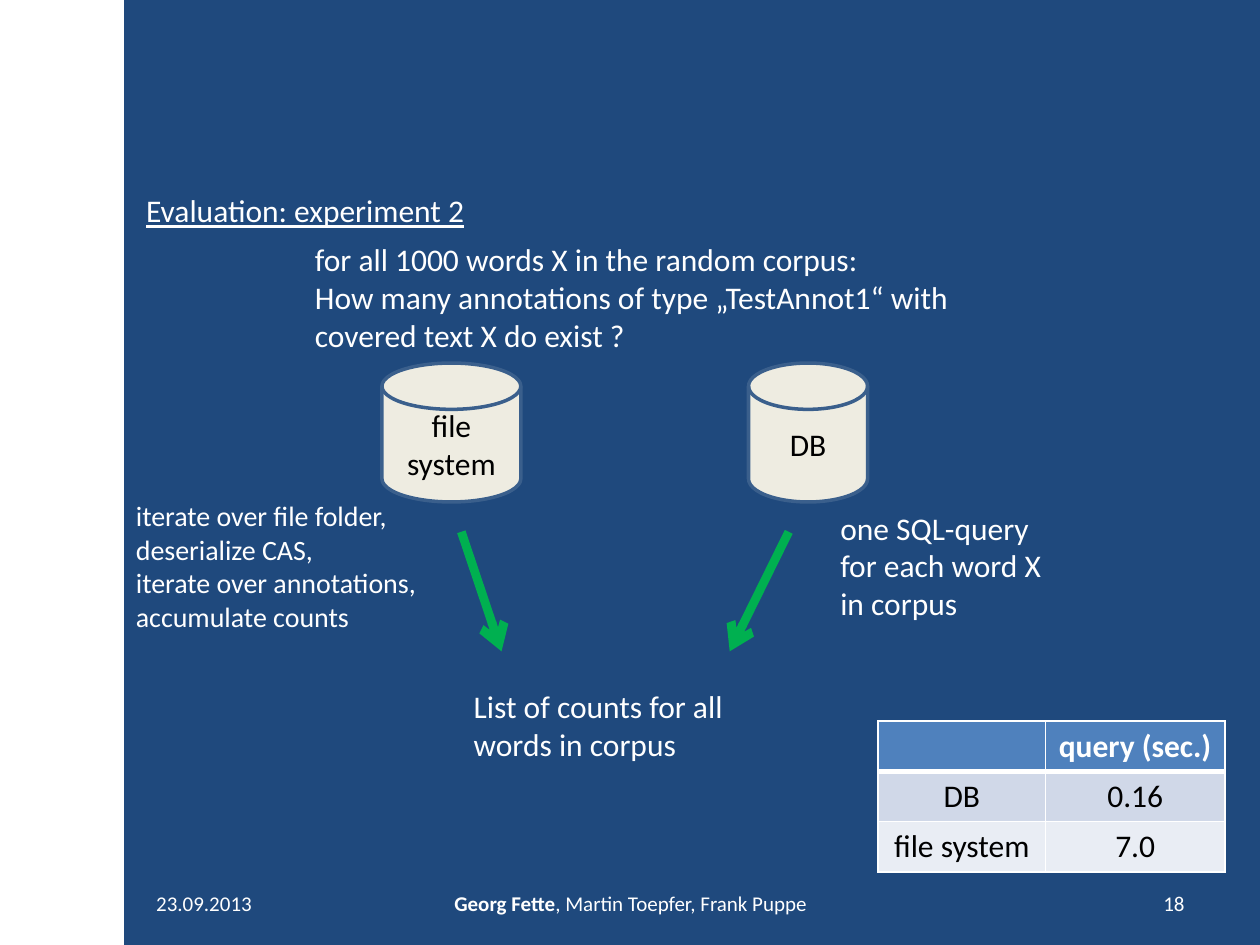
from lxml.etree import SubElement
from pptx import Presentation
from pptx.dml.color import RGBColor
from pptx.enum.shapes import MSO_CONNECTOR, MSO_SHAPE
from pptx.enum.text import MSO_ANCHOR, MSO_AUTO_SIZE, PP_ALIGN
from pptx.oxml import parse_xml
from pptx.oxml.ns import nsdecls, qn
from pptx.util import Cm, Pt

WHITE = "FFFFFF"
BLACK = "000000"
NAVY = "1F497D"
GREEN = "00B050"
CREAM = "EEECE1"
DISK_EDGE = "3A5F8C"
HEADER_BLUE = "4F81BD"
ROW_FILLS = [HEADER_BLUE, "D0D8E8", "E9EDF4"]


def rgb(colour):
    return RGBColor.from_string(colour)


def paint(shape, fill, edge, edge_width):
    shape.shadow.inherit = False
    shape.fill.solid()
    shape.fill.fore_color.rgb = rgb(fill)
    shape.line.color.rgb = rgb(edge)
    shape.line.width = Pt(edge_width)


def format_text(frame, size=18, colour=WHITE, align=PP_ALIGN.LEFT):
    for paragraph in frame.paragraphs:
        paragraph.alignment = align
        for run in paragraph.runs:
            run.font.name = "Calibri"
            run.font.size = Pt(size)
            run.font.color.rgb = rgb(colour)


def add_text(slide, left, top, width, height, text, size=18,
             align=PP_ALIGN.LEFT, anchor=MSO_ANCHOR.TOP):
    box = slide.shapes.add_textbox(Cm(left), Cm(top), Cm(width), Cm(height))
    frame = box.text_frame
    frame.word_wrap = True
    frame.vertical_anchor = anchor
    frame.text = text
    format_text(frame, size, align=align)
    return frame


def add_heading(slide, text):
    heading = slide.shapes.title
    heading.left, heading.top = Cm(2.69), Cm(3.73)
    heading.width, heading.height = Cm(7.01), Cm(1.02)
    frame = heading.text_frame
    frame.text = text
    frame.word_wrap = False
    frame.auto_size = MSO_AUTO_SIZE.NONE
    frame.vertical_anchor = MSO_ANCHOR.TOP
    format_text(frame)
    frame.paragraphs[0].runs[0].font.underline = True


def add_side_band(slide):
    band = slide.shapes.add_shape(MSO_SHAPE.RECTANGLE, 0, 0, Cm(2.49), Cm(19.05))
    paint(band, WHITE, WHITE, 0.75)


def add_footer(slide):
    top, height, middle = 17.7, 1.02, MSO_ANCHOR.MIDDLE
    add_text(slide, 2.9, top, 5, height, "23.09.2013", 12, anchor=middle)
    authors = add_text(slide, 8.69, top, 8.05, height, "Georg Fette", 12, anchor=middle)
    authors.paragraphs[0].add_run().text = ", Martin Toepfer, Frank Puppe"
    format_text(authors, 12, align=PP_ALIGN.CENTER)
    authors.paragraphs[0].runs[0].font.bold = True
    add_text(slide, 18.21, top, 5.92, height, "18", 12, PP_ALIGN.RIGHT, middle)


def add_disk(slide, left, width, text):
    disk = slide.shapes.add_shape(MSO_SHAPE.FLOWCHART_MAGNETIC_DISK,
                                  Cm(left), Cm(7.32), Cm(width), Cm(2.8))
    paint(disk, CREAM, DISK_EDGE, 2)
    disk.text_frame.text = text
    disk.text_frame.vertical_anchor = MSO_ANCHOR.MIDDLE
    format_text(disk.text_frame, colour=BLACK, align=PP_ALIGN.CENTER)


def add_arrow(slide, start_x, end_x):
    arrow = slide.shapes.add_connector(MSO_CONNECTOR.STRAIGHT, Cm(start_x), Cm(10.72),
                                       Cm(end_x), Cm(13.13))
    arrow.line.color.rgb = rgb(GREEN)
    arrow.line.width = Pt(5)
    SubElement(arrow.line._get_or_add_ln(), qn("a:tailEnd"), type="arrow")
    SubElement(arrow._element.spPr, qn("a:effectLst"))


def set_borders(cell, widths):
    """Draw white borders; widths are points for left, right, top, bottom."""
    properties = cell._tc.get_or_add_tcPr()
    for index, (side, width) in enumerate(zip("LRTB", widths)):
        properties.insert(index, parse_xml(
            f'<a:ln{side} {nsdecls("a")} w="{Pt(width)}"><a:solidFill>'
            f'<a:srgbClr val="{WHITE}"/></a:solidFill></a:ln{side}>'))


def add_timing_table(slide, rows):
    table = slide.shapes.add_table(len(rows), 2, Cm(17.7), Cm(14.53),
                                   Cm(6.99), Cm(3.05)).table
    table.columns[0].width, table.columns[1].width = Cm(3.38), Cm(3.61)
    for row_index, (values, fill) in enumerate(zip(rows, ROW_FILLS)):
        is_header = row_index == 0
        for column_index, value in enumerate(values):
            cell = table.cell(row_index, column_index)
            cell.text = value
            cell.fill.solid()
            cell.fill.fore_color.rgb = rgb(fill)
            format_text(cell.text_frame, colour=WHITE if is_header else BLACK,
                        align=PP_ALIGN.CENTER)
            for run in cell.text_frame.paragraphs[0].runs:
                run.font.bold = is_header
            set_borders(cell, (1, 1, 3 if row_index == 1 else 1, 3 if is_header else 1))


def main():
    presentation = Presentation()
    presentation.slide_width, presentation.slide_height = Cm(25.4), Cm(19.05)
    slide = presentation.slides.add_slide(presentation.slide_layouts[5])
    slide.background.fill.solid()
    slide.background.fill.fore_color.rgb = rgb(NAVY)

    add_side_band(slide)
    add_footer(slide)
    add_heading(slide, "Evaluation: experiment 2")
    add_text(slide, 6.1, 4.72, 14.6, 2.57,
             "for all 1000 words X in the random corpus:\n"
             "How many annotations of type „TestAnnot1“ with covered text X do exist ?")
    add_arrow(slide, 9.3, 10.11)
    add_arrow(slide, 15.9, 14.71)
    add_text(slide, 9.3, 13.72, 6.6, 1.8, "List of counts for all words in corpus")
    add_timing_table(slide, [("", "query (sec.)"), ("DB", "0.16"), ("file system", "7.0")])
    add_text(slide, 2.49, 9.93, 6.4, 3,
             "iterate over file folder,\ndeserialize CAS,\n"
             "iterate over annotations,\naccumulate counts", 16)
    add_text(slide, 16.69, 10.13, 5, 2.57, "one SQL-query for each word X in corpus")
    add_disk(slide, 7.7, 2.8, "file system")
    add_disk(slide, 15.09, 2.4, "DB")
    presentation.save("out.pptx")


if __name__ == "__main__":
    main()
